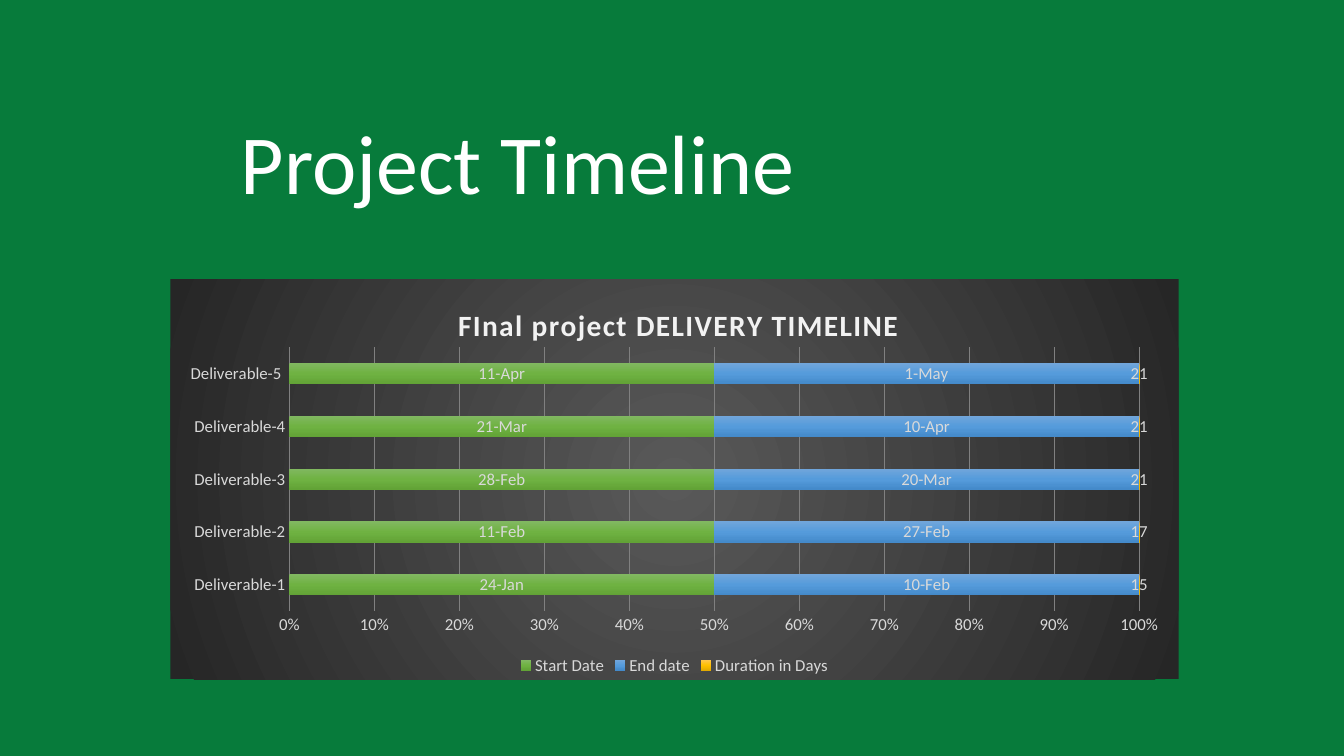
import lxml.etree
import pptx
import pptx.chart.data
import pptx.dml.color
import pptx.enum.chart
import pptx.enum.text
import pptx.oxml
import pptx.oxml.ns
import pptx.util

Inches = pptx.util.Inches
DATE_FORMAT = "d\\-mmm"
DELIVERABLES = ["Deliverable-1", "Deliverable-2", "Deliverable-3", "Deliverable-4", "Deliverable-5 "]
# name, values, number format, gradient from top to bottom
TIMELINE = [
    ("Start Date", [44950, 44968, 44985, 45006, 45027], DATE_FORMAT, ["81B861", "6FB242", "62A336"]),
    ("End date", [44967, 44984, 45005, 45026, 45047], DATE_FORMAT, ["71A6DB", "559BDB", "448ACA"]),
    ("Duration in Days", [15, 17, 21, 21, 21], "General", ["FFC64B", "FFC000", "E3AB00"]),
]


def color(hex_string):
    return pptx.dml.color.RGBColor.from_string(hex_string)


def set_values(target, values):
    for name, value in values.items():
        setattr(target, name, value)


def gradient(colors, direction):
    """Return a gradFill with evenly spaced stops."""
    step = 100000 // (len(colors) - 1)
    stops = "".join(
        f'<a:gs pos="{index * step}"><a:srgbClr val="{value}"/></a:gs>'
        for index, value in enumerate(colors)
    )
    return pptx.oxml.parse_xml(
        f'<a:gradFill {pptx.oxml.ns.nsdecls("a")} rotWithShape="1">'
        f"<a:gsLst>{stops}</a:gsLst>{direction}</a:gradFill>"
    )


def manual_layout(target="", **fractions):
    """Return a chart layout placed by fractions of the chart area."""
    values = "".join(f'<c:{name} val="{value}"/>' for name, value in fractions.items())
    return pptx.oxml.parse_xml(
        f'<c:layout {pptx.oxml.ns.nsdecls("c")}><c:manualLayout>{target}'
        f'<c:xMode val="edge"/><c:yMode val="edge"/>{values}</c:manualLayout></c:layout>'
    )


class TimelineSlide:
    label_style = {"name": "Calibri", "size": pptx.util.Pt(12)}
    label_color = "D9D9D9"

    def __init__(self, presentation, background):
        self.slide = presentation.slides.add_slide(presentation.slide_layouts[6])
        fill = self.slide.background.fill
        fill.solid()
        fill.fore_color.rgb = color(background)

    def style_font(self, font, hex_string=label_color, **changes):
        set_values(font, {**self.label_style, **changes})
        font.color.rgb = color(hex_string)

    def heading(self, text, left, top, width, height):
        box = self.slide.shapes.add_textbox(Inches(left), Inches(top), Inches(width), Inches(height))
        box.text_frame.word_wrap = True
        paragraph = box.text_frame.paragraphs[0]
        paragraph.line_spacing = 0.9
        run = paragraph.add_run()
        run.text = text
        self.style_font(run.font, "FFFFFF", size=pptx.util.Pt(60))

    def timeline_chart(self, title, left, top, width, height):
        data = pptx.chart.data.CategoryChartData()
        data.categories = DELIVERABLES
        for name, values, number_format, _ in TIMELINE:
            data.add_series(name, values, number_format)
        chart = self.slide.shapes.add_chart(
            pptx.enum.chart.XL_CHART_TYPE.BAR_STACKED_100,
            Inches(left), Inches(top), Inches(width), Inches(height), data,
        ).chart
        self.style_font(chart.font)
        set_values(chart.plots[0], {"gap_width": 150, "overlap": 100, "vary_by_categories": False})
        self.chart_title(chart, title)
        self.chart_axes(chart)
        self.chart_legend(chart)
        self.chart_series(chart)
        self.chart_area(chart)

    def chart_title(self, chart, text):
        chart.has_title = True
        run = chart.chart_title.text_frame.paragraphs[0].add_run()
        run.text = text
        self.style_font(run.font, "F2F2F2", size=pptx.util.Pt(21), bold=True)
        title = chart.element.xpath("./c:chart/c:title")[0]
        title.xpath(".//a:r/a:rPr")[0].set("spc", "100")
        for layout in title.xpath("./c:layout"):
            title.remove(layout)
        title.xpath("./c:tx")[0].addnext(manual_layout(x=0.28, y=0.05))

    def chart_axes(self, chart):
        for axis in (chart.category_axis, chart.value_axis):
            set_values(axis, {
                "major_tick_mark": pptx.enum.chart.XL_TICK_MARK.NONE,
                "minor_tick_mark": pptx.enum.chart.XL_TICK_MARK.NONE,
            })
            axis.format.line.fill.background()
            self.style_font(axis.tick_labels.font)
        value_axis = chart.value_axis
        set_values(value_axis, {"minimum_scale": 0, "maximum_scale": 1, "major_unit": 0.1})
        set_values(value_axis.tick_labels, {"number_format": "0%", "number_format_is_linked": False})
        value_axis.has_major_gridlines = True
        grid_line = value_axis.major_gridlines.format.line
        grid_line.width = pptx.util.Pt(0.75)
        grid_line.color.rgb = color("808080")

    def chart_legend(self, chart):
        chart.has_legend = True
        set_values(chart.legend, {
            "position": pptx.enum.chart.XL_LEGEND_POSITION.BOTTOM,
            "include_in_layout": False,
        })
        self.style_font(chart.legend.font)

    def chart_series(self, chart):
        for series, (_, _, number_format, _) in zip(chart.plots[0].series, TIMELINE):
            series.format.fill.background()
            set_values(series.data_labels, {
                "show_value": True,
                "number_format": number_format,
                "number_format_is_linked": False,
                "position": pptx.enum.chart.XL_LABEL_POSITION.CENTER,
            })
            self.style_font(series.data_labels.font)
        for properties, (_, _, _, colors) in zip(chart.element.xpath(".//c:ser/c:spPr"), TIMELINE):
            properties.replace(properties[0], gradient(colors, '<a:lin ang="5400000" scaled="0"/>'))

    def chart_area(self, chart):
        plot_area = chart.element.xpath("./c:chart/c:plotArea")[0]
        for layout in plot_area.xpath("./c:layout"):
            plot_area.remove(layout)
        inner = '<c:layoutTarget val="inner"/>'
        plot_area.insert(0, manual_layout(inner, x=0.118, y=0.17, w=0.843, h=0.66))
        area = pptx.oxml.parse_xml(
            f'<c:spPr {pptx.oxml.ns.nsdecls("c", "a")}><a:ln><a:noFill/></a:ln></c:spPr>'
        )
        center = '<a:path path="circle"><a:fillToRect l="50000" t="50000" r="50000" b="50000"/></a:path>'
        area.insert(0, gradient(["595959", "262626"], center))
        chart.element.xpath("./c:chart")[0].addnext(area)


def main():
    presentation = pptx.Presentation()
    set_values(presentation, {"slide_width": Inches(13.33), "slide_height": Inches(7.5)})
    slide = TimelineSlide(presentation, "077B3B")
    slide.heading("Project Timeline", 2.29, 1.16, 9.48, 0.83)
    slide.timeline_chart("FInal project DELIVERY TIMELINE", 1.69, 2.77, 10, 3.97)
    presentation.save("out.pptx")


if __name__ == "__main__":
    main()
